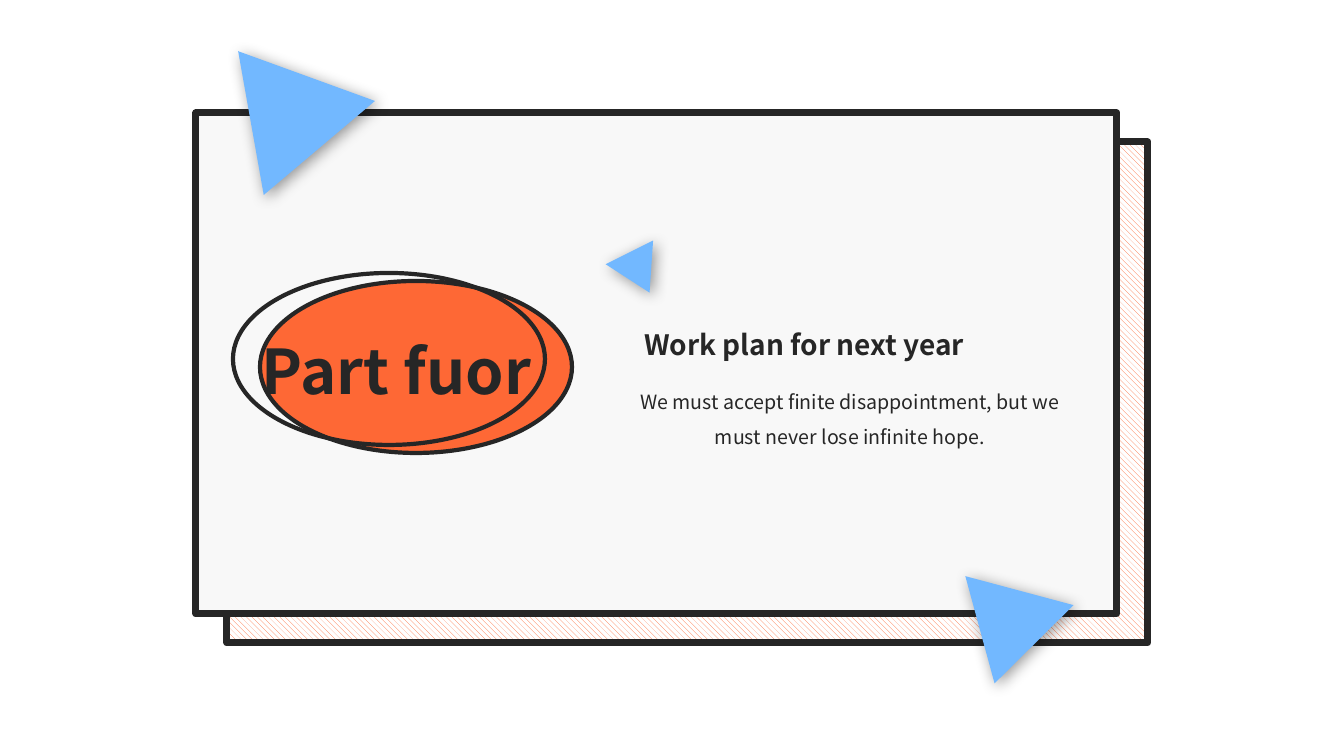
from lxml import etree
from pptx import Presentation
from pptx import util as u
from pptx.dml.color import RGBColor
from pptx.enum import dml, shapes, text
from pptx.oxml import ns

PX = 914400 / 100.8
FONT = "Noto Sans CJK SC"
INK = RGBColor(0x26, 0x26, 0x26)
PAPER = RGBColor(0xF8, 0xF8, 0xF8)
WHITE = RGBColor(0xFF, 0xFF, 0xFF)
ORANGE = RGBColor(0xFE, 0x68, 0x35)
BLUE = RGBColor(0x72, 0xB8, 0xFF)

PART = "Part fuor"
HEADING = "Work plan for next year"
MOTTO = "We must accept finite disappointment, but we must never lose infinite hope."

CARD = (196, 113, 921, 501)
CARD_OFFSET = (31, 29)
OVAL = (233, 273, 312, 172)
OVAL_OFFSET = (27, 8)
PART_BOX = (252, 327, 300, 85)
HEADING_BOX = (644, 327, 401, 34)
MOTTO_BOX = (608, 373, 484, 78)
TRIANGLES = [  # box, rotation
    ((240, 49, 146, 126), 79.9),
    ((613, 250, 53, 45), 153.4),
    ((951, 589, 112, 96), 195),
]


def emu(box):
    return [round(length * PX) for length in box]


def shifted(box, offset):
    left, top, width, height = box
    return left + offset[0], top + offset[1], width, height


def add_shape(kind, box, fill=None, line_width=None):
    shape = slide.shapes.add_shape(kind, *emu(box))
    shape.shadow.inherit = False
    if fill is None:
        shape.fill.background()
    else:
        shape.fill.solid()
        shape.fill.fore_color.rgb = fill
    if line_width is None:
        shape.line.fill.background()
    else:
        shape.line.color.rgb = INK
        shape.line.width = u.Pt(line_width)
    return shape


def add_triangle(box, rotation):
    triangle = add_shape(shapes.MSO_SHAPE.ISOSCELES_TRIANGLE, box, BLUE)
    triangle.rotation = rotation
    effects = triangle.element.spPr.find(ns.qn("a:effectLst"))
    shadow = etree.SubElement(effects, ns.qn("a:outerShdw"), blurRad=str(u.Pt(11)),
                              dist=str(u.Pt(3)), dir=str(45 * 60000), rotWithShape="0")
    black = etree.SubElement(shadow, ns.qn("a:srgbClr"), val="000000")
    etree.SubElement(black, ns.qn("a:alpha"), val="40000")


def write(holder, box, words, size, bold=False, align=text.PP_ALIGN.LEFT,
          spacing=1.0, inset=(10, 5), wrap=True, anchor=text.MSO_ANCHOR.MIDDLE):
    """Place a text holder in front of everything so far and fill it."""
    holder.element.getparent().append(holder.element)
    holder.left, holder.top, holder.width, holder.height = emu(box)
    frame = holder.text_frame
    frame.text = words
    frame.word_wrap = wrap
    frame.auto_size = text.MSO_AUTO_SIZE.NONE
    frame.vertical_anchor = anchor
    frame.margin_left = frame.margin_right = round(inset[0] * PX)
    frame.margin_top = frame.margin_bottom = round(inset[1] * PX)
    paragraph = frame.paragraphs[0]
    paragraph.alignment = align
    paragraph.line_spacing = spacing
    paragraph.space_before = u.Pt(0)
    font = paragraph.runs[0].font
    font.name, font.size, font.bold = FONT, u.Pt(size), bold
    font.color.rgb = INK


deck = Presentation()
deck.slide_width, deck.slide_height = emu((1344, 756))
slide = deck.slides.add_slide(deck.slide_layouts[0])
part, heading = slide.placeholders

hatched_card = add_shape(shapes.MSO_SHAPE.RECTANGLE, shifted(CARD, CARD_OFFSET), WHITE, 5)
hatched_card.fill.patterned()
hatched_card.fill.pattern = dml.MSO_PATTERN.WIDE_DOWNWARD_DIAGONAL
hatched_card.fill.fore_color.rgb = ORANGE
hatched_card.fill.back_color.rgb = WHITE
add_shape(shapes.MSO_SHAPE.RECTANGLE, CARD, PAPER, 5)

for triangle_box, angle in TRIANGLES:
    add_triangle(triangle_box, angle)

write(heading, HEADING_BOX, HEADING, 20, bold=True, inset=(0, 0))
add_shape(shapes.MSO_SHAPE.OVAL, shifted(OVAL, OVAL_OFFSET), ORANGE, 3)
write(part, PART_BOX, PART, 44, bold=True, wrap=False)
add_shape(shapes.MSO_SHAPE.OVAL, OVAL, line_width=3)
motto = slide.shapes.add_textbox(*emu(MOTTO_BOX))
write(motto, MOTTO_BOX, MOTTO, 14, align=text.PP_ALIGN.CENTER, spacing=1.5,
      anchor=text.MSO_ANCHOR.TOP)

deck.save("out.pptx")
